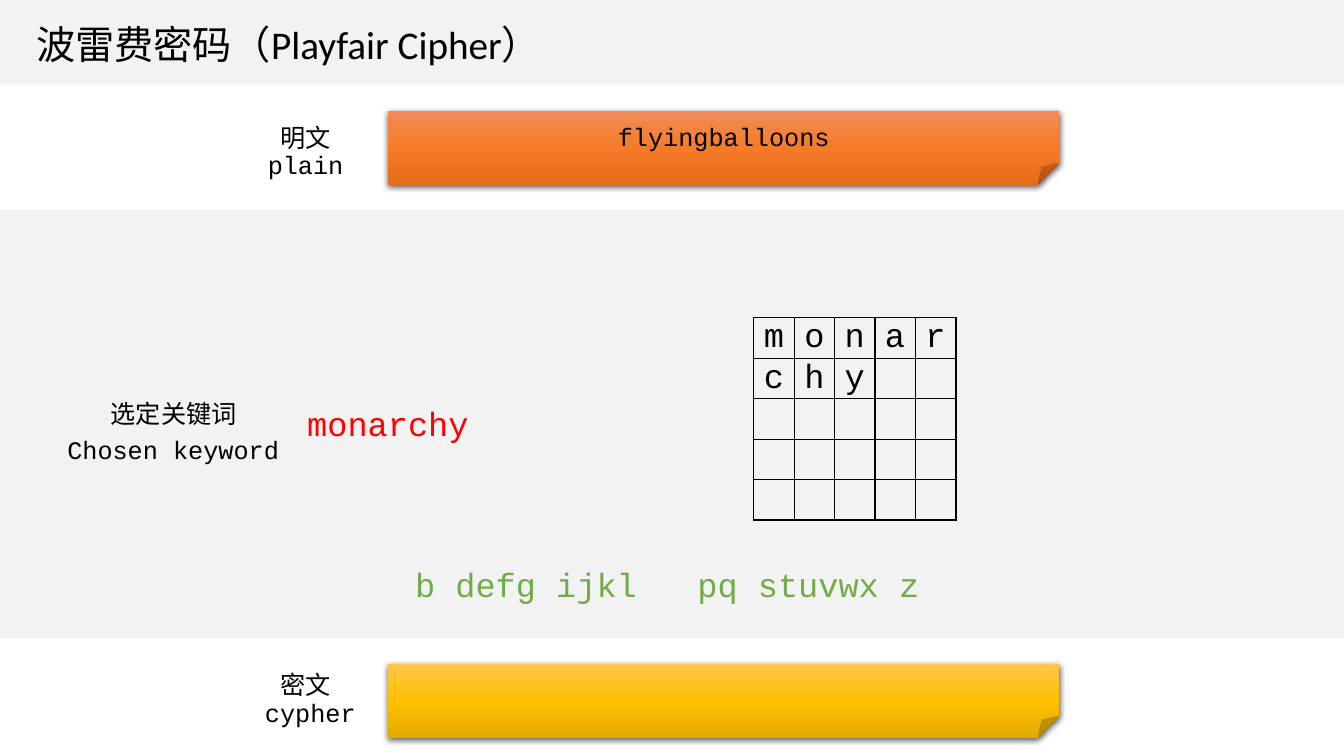
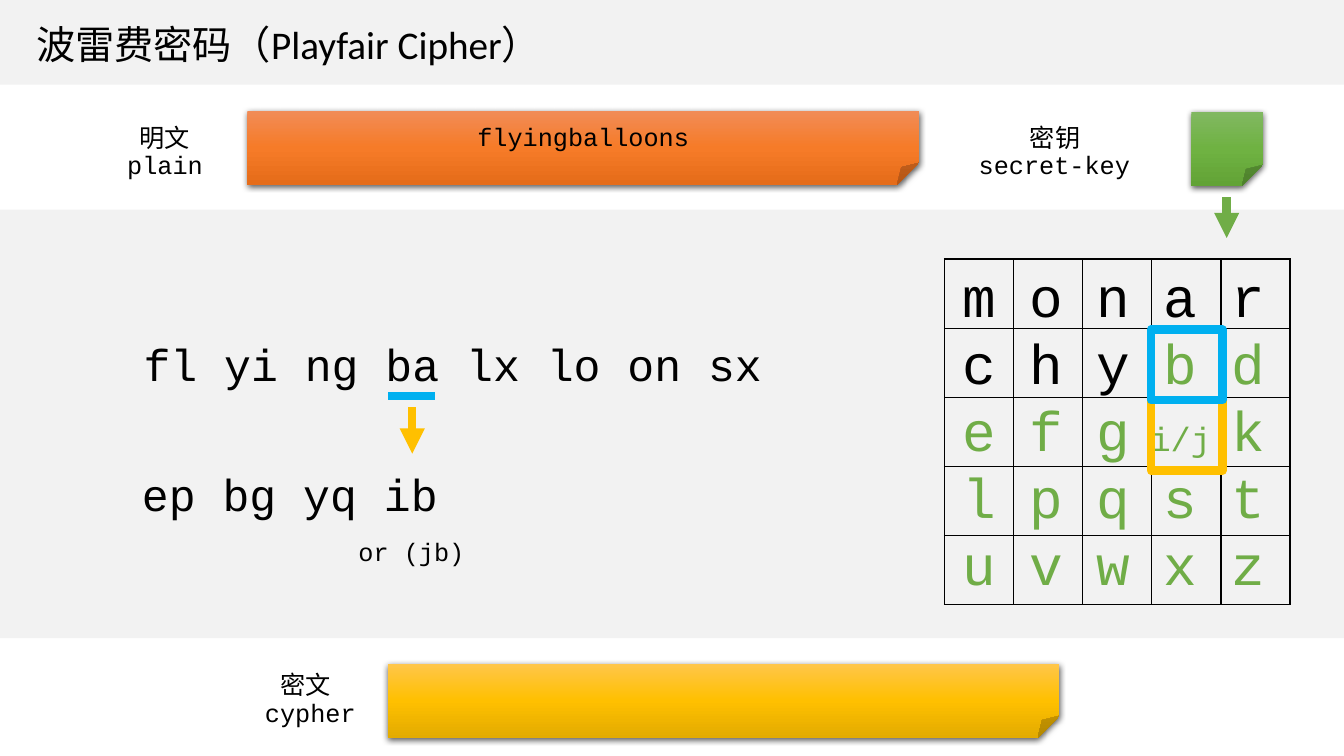
"""Build two slides that explain the Playfair cipher."""

import dataclasses
import typing

import pptx
import pptx.dml.color
import pptx.enum.shapes
import pptx.enum.text
import pptx.oxml
import pptx.oxml.ns
import pptx.util

Pt = pptx.util.Pt
SHAPE = pptx.enum.shapes.MSO_SHAPE
ALIGN = pptx.enum.text.PP_ALIGN
ANCHOR = pptx.enum.text.MSO_ANCHOR
FIT = pptx.enum.text.MSO_AUTO_SIZE


@dataclasses.dataclass(frozen=True)
class Theme:
    band: str = "F2F2F2"
    ink: str = "000000"
    red: str = "FF0000"
    green: str = "70AD47"
    gold: str = "FFC000"
    blue: str = "00B0F0"
    orange_fade: tuple[str, ...] = ("F18C57", "F67B28", "E56C19")
    gold_fade: tuple[str, ...] = ("FFC64B", "FFC000", "E3AB00")
    green_fade: tuple[str, ...] = ("81B861", "6FB242", "62A336")
    code: str = "Courier New"
    sans: str = "Open Sans"
    mono: str = "DejaVu Sans Mono"
    head: str = "Calibri"
    small: float = 18
    mid: float = 24
    title: float = 28
    large: float = 32
    huge: float = 40
    stroke: float = 6


THEME = Theme()


class Box(typing.NamedTuple):
    left: float
    top: float
    width: float
    height: float

    def points(self) -> list[pptx.util.Length]:
        return [Pt(side) for side in self]


class Run(typing.NamedTuple):
    text: str
    size: float = THEME.small
    color: str = THEME.ink
    face: str = THEME.code


@dataclasses.dataclass(frozen=True)
class Note:
    box: Box
    lines: list[list[Run]]
    align: ALIGN = ALIGN.LEFT
    wrap: bool = False


@dataclasses.dataclass(frozen=True)
class Card:
    box: Box
    fade: tuple[str, ...]
    text: str = ""


@dataclasses.dataclass(frozen=True)
class Stroke:
    start: tuple[float, float]
    end: tuple[float, float]
    color: str
    arrow: bool = False


def rgb(color: str) -> pptx.dml.color.RGBColor:
    return pptx.dml.color.RGBColor.from_string(color)


def apply(thing: typing.Any, values: dict[str, typing.Any]) -> None:
    for name, value in values.items():
        setattr(thing, name, value)


def node(tag: str, inner: str = "", traits: str = "") -> typing.Any:
    space = pptx.oxml.ns.nsdecls("a")
    return pptx.oxml.parse_xml(f"<a:{tag} {space} {traits}>{inner}</a:{tag}>")


def write(frame: typing.Any, lines: list[list[Run]], align: ALIGN) -> None:
    for index, line in enumerate(lines):
        para = frame.paragraphs[0] if index == 0 else frame.add_paragraph()
        para.alignment = align
        for part in line:
            run = para.add_run()
            run.text = part.text
            apply(run.font, {"size": Pt(part.size), "name": part.face})
            run.font.color.rgb = rgb(part.color)


def draw_note(slide: typing.Any, note: Note) -> None:
    frame = slide.shapes.add_textbox(*note.box.points()).text_frame
    apply(frame, {"word_wrap": note.wrap, "auto_size": FIT.SHAPE_TO_FIT_TEXT})
    write(frame, note.lines, note.align)


def draw_band(slide: typing.Any, box: Box) -> None:
    band = slide.shapes.add_shape(SHAPE.RECTANGLE, *box.points())
    band.shadow.inherit = False
    band.fill.solid()
    band.fill.fore_color.rgb = rgb(THEME.band)
    band.line.fill.background()


def draw_card(slide: typing.Any, card: Card) -> None:
    shape = slide.shapes.add_shape(SHAPE.FOLDED_CORNER, *card.box.points())
    stops = "".join(
        f'<a:gs pos="{index * 50000}"><a:srgbClr val="{color}"/></a:gs>'
        for index, color in enumerate(card.fade)
    )
    fade = f'<a:gsLst>{stops}</a:gsLst><a:lin ang="5400000" scaled="0"/>'
    shade = (
        '<a:outerShdw blurRad="57150" dist="19050" dir="5400000" algn="ctr" rotWithShape="0">'
        f'<a:srgbClr val="{THEME.ink}"><a:alpha val="63000"/></a:srgbClr></a:outerShdw>'
    )
    props = shape.element.spPr
    form = props.find(pptx.oxml.ns.qn("a:prstGeom"))
    for child in list(form):
        form.remove(child)
    form.append(node("avLst", '<a:gd name="adj" fmla="val 29300"/>'))
    props.append(node("gradFill", fade))
    shape.line.fill.background()
    props.append(node("effectLst", shade))
    if card.text:
        shape.text_frame.vertical_anchor = ANCHOR.MIDDLE
        write(shape.text_frame, [[Run(card.text)]], ALIGN.CENTER)


def draw_stroke(slide: typing.Any, stroke: Stroke) -> None:
    ends = [Pt(value) for value in (*stroke.start, *stroke.end)]
    line = slide.shapes.add_connector(pptx.enum.shapes.MSO_CONNECTOR.STRAIGHT, *ends)
    line.line.color.rgb = rgb(stroke.color)
    line.line.width = Pt(THEME.stroke)
    props = line.element.spPr
    if stroke.arrow:
        props.find(pptx.oxml.ns.qn("a:ln")).append(node("tailEnd", traits='type="triangle"'))
    props.append(node("effectLst"))


def draw_frame(slide: typing.Any, box: Box, color: str) -> None:
    frame = slide.shapes.add_shape(SHAPE.RECTANGLE, *box.points())
    frame.shadow.inherit = False
    frame.fill.background()
    frame.line.color.rgb = rgb(color)
    frame.line.width = Pt(THEME.stroke)


def draw_grid(slide: typing.Any, left: float, top: float, step: float, count: int = 5) -> None:
    box = Box(left, top, step * count, step * count)
    table = slide.shapes.add_table(count, count, *box.points()).table
    apply(table, {"first_row": False, "horz_banding": False})
    for row in table.rows:
        row.height = Pt(step)
    for column in table.columns:
        column.width = Pt(step)
    paint = f'<a:solidFill><a:srgbClr val="{THEME.ink}"/></a:solidFill>'
    sides = ("margin_left", "margin_right", "margin_top", "margin_bottom")
    for cell in table.iter_cells():
        apply(cell, dict.fromkeys(sides, 0))
        props = cell._tc.get_or_add_tcPr()
        for edge in ("lnL", "lnR", "lnT", "lnB"):
            props.append(node(edge, paint, 'w="12700"'))
        cell.fill.background()


def set_title(slide: typing.Any, text: str) -> None:
    title = slide.shapes.title
    title.element.getparent().append(title.element)
    sides = ("left", "top", "width", "height")
    apply(title, dict(zip(sides, Box(18.7, 10.8, 404, 41).points())))
    values = {"word_wrap": False, "auto_size": FIT.NONE, "vertical_anchor": ANCHOR.TOP}
    apply(title.text_frame, values)
    write(title.text_frame, [[Run(text, THEME.title, face=THEME.head)]], ALIGN.LEFT)


def label(left: float, top: float, width: float, text: str, face: str = THEME.code) -> Note:
    return Note(Box(left, top, width, 28.8), [[Run(text, face=face)]])


def start_slide(deck: typing.Any, shift: float = 0) -> typing.Any:
    slide = deck.slides.add_slide(deck.slide_layouts[5])
    for box in (Box(0, 0, 960, 60.5), Box(0, 149.8, 960, 306)):
        draw_band(slide, box)
    set_title(slide, "波雷费密码（Playfair Cipher）")
    draw_card(slide, Card(Box(277.2 - shift, 79, 479.5, 52.8), THEME.orange_fade, "flyingballoons"))
    draw_card(slide, Card(Box(277.2, 474, 479.5, 52.8), THEME.gold_fade))
    for note in (
        label(184.2 - shift, 103, 69, "plain"),
        label(193 - shift, 84.2, 51, "明文", THEME.sans),
        label(182.2, 494.6, 80, "cypher"),
        label(193, 474.5, 51, "密文", THEME.sans),
    ):
        draw_note(slide, note)
    return slide


def build_key(deck: typing.Any) -> None:
    slide = start_slide(deck)
    draw_grid(slide, 538.4, 227, 28.9)
    size = THEME.mid
    rest = Run("b defg ijkl   pq stuvwx z", size, THEME.green)
    for note in (
        Note(Box(170.6, 284.4, 213, 36), [[Run("monarchy", size, THEME.red)]], ALIGN.CENTER, True),
        label(41, 306.7, 166, "Chosen keyword"),
        label(72, 280.8, 105, "选定关键词", THEME.mono),
        Note(Box(538.6, 221, 152.6, 65.5), [[Run("m o n a r", size)], [Run("c h y", size)]], wrap=True),
        Note(Box(260, 399.6, 433, 36), [[rest]], ALIGN.CENTER, True),
    ):
        draw_note(slide, note)


def build_swap(deck: typing.Any) -> None:
    slide = start_slide(deck, 100.4)
    draw_card(slide, Card(Box(851, 80, 51, 52.8), THEME.green_fade))
    draw_grid(slide, 674.6, 185, 49.4)
    huge, green = THEME.huge, THEME.green
    lines = [
        [Run("m o n a r", huge)],
        [Run("c h y ", huge), Run("b d", huge, green)],
        [Run("e f g", huge, green), Run(" i/j ", THEME.mid, green), Run("k", huge, green)],
        [Run("l p q s t", huge, green)],
        [Run("u v w x z", huge, green)],
    ]
    pairs = [[Run("fl yi ng ba lx lo on sx", THEME.large)]]
    for note in (
        Note(Box(680.4, 183, 250, 250), lines, wrap=True),
        label(692, 103, 123, "secret-key"),
        label(728.6, 84.2, 51, "密钥", THEME.head),
        Note(Box(92.9, 236.9, 461.5, 46), pairs, ALIGN.CENTER),
        Note(Box(94.3, 329.8, 226, 46), [[Run("ep bg yq ib", THEME.large)]]),
        label(249, 379.4, 90.7, "or (jb)"),
    ):
        draw_note(slide, note)
    for top, color in ((285.8, THEME.gold), (235.4, THEME.blue)):
        draw_frame(slide, Box(822.2, top, 51, 50.4), color)
    for stroke in (
        Stroke((876.2, 141), (876.2, 170), THEME.green, True),
        Stroke((277.2, 283), (311, 283), THEME.blue),
        Stroke((294.5, 291), (294.5, 324), THEME.gold, True),
    ):
        draw_stroke(slide, stroke)


def main() -> None:
    deck = pptx.Presentation()
    apply(deck, {"slide_width": Pt(960), "slide_height": Pt(540)})
    build_key(deck)
    build_swap(deck)
    deck.save("out.pptx")


main()
